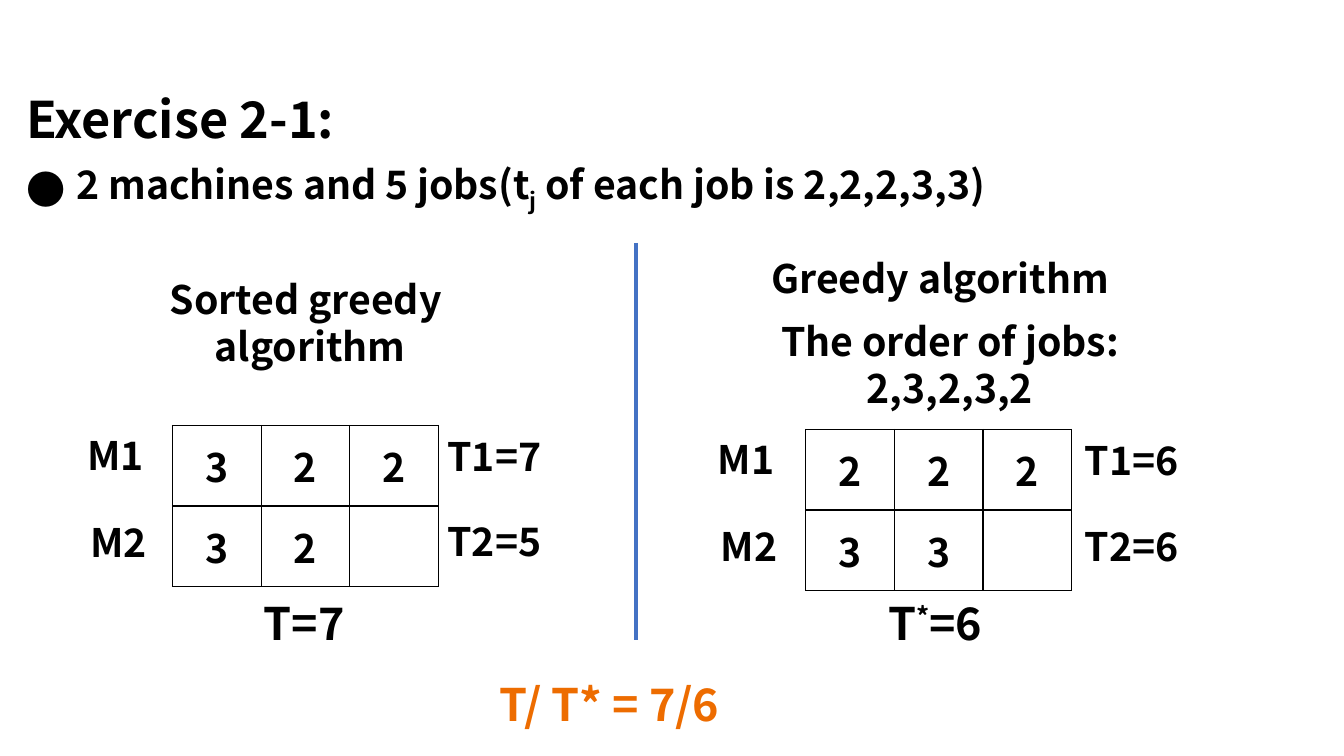
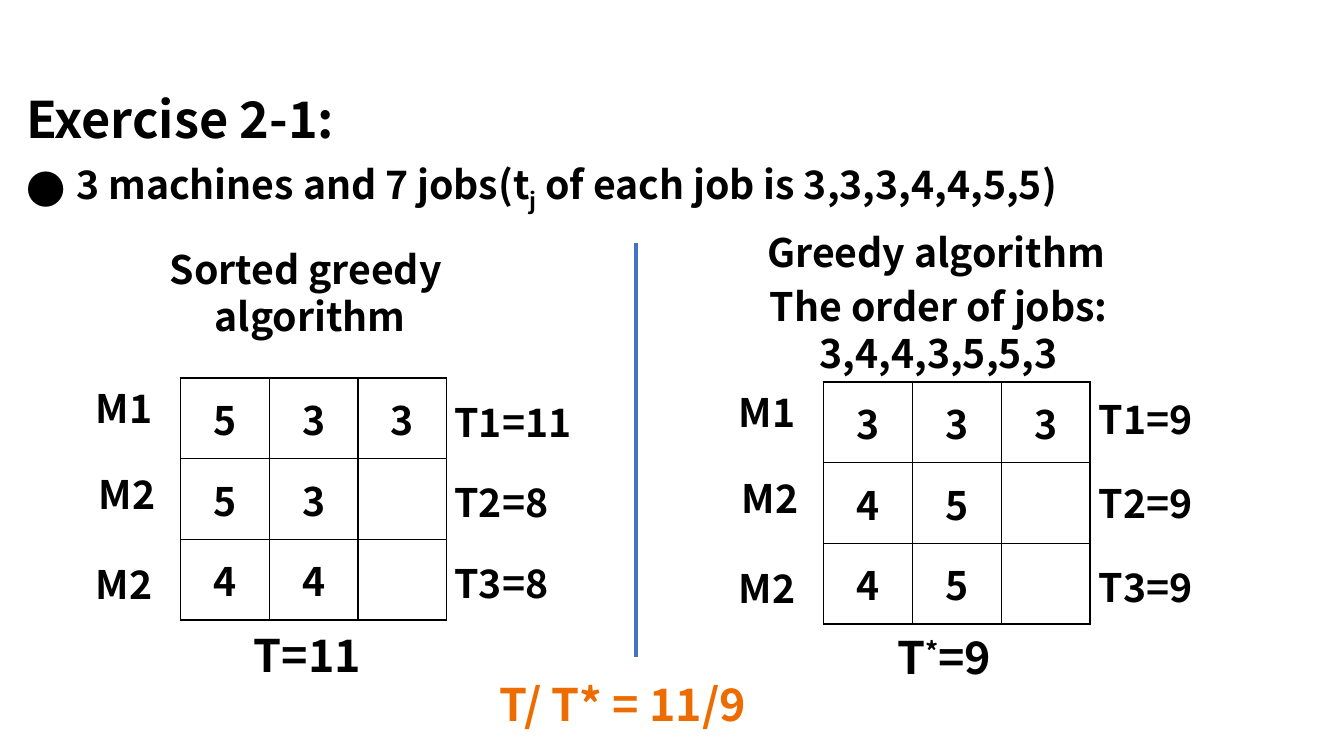
from dataclasses import dataclass

from lxml import etree
from pptx import Presentation
from pptx.dml.color import RGBColor
from pptx.enum.shapes import MSO_CONNECTOR
from pptx.enum.text import MSO_ANCHOR, PP_ALIGN
from pptx.oxml.ns import qn
from pptx.util import Inches, Pt

LEFT, CENTER = PP_ALIGN.LEFT, PP_ALIGN.CENTER
MIDDLE = MSO_ANCHOR.MIDDLE
STRAIGHT = MSO_CONNECTOR.STRAIGHT


@dataclass(frozen=True)
class Theme:
    font: str = "Noto Sans CJK SC"
    ink: RGBColor = RGBColor(0x00, 0x00, 0x00)
    paper: RGBColor = RGBColor(0xFF, 0xFF, 0xFF)
    accent: RGBColor = RGBColor(0xED, 0x6C, 0x00)
    rule: RGBColor = RGBColor(0x44, 0x72, 0xC4)
    title: int = 36
    result: int = 32
    body: int = 28
    line_height: float = 1.2
    rule_width: int = 3
    border_width: int = 1


@dataclass(frozen=True)
class Panel:
    x: float
    y: float
    headings: list
    jobs: list
    times: list
    total: list
    total_at: tuple
    label_dx: float = -0.94
    time_dx: float = 2.63


T = Theme()
COL, ROW = 0.88, 0.8
MACHINES = [("M1", 0, 0.01), ("M2", 0.03, 0.87), ("M2", 0, 1.76)]
SORTED = [["Sorted greedy "], ["algorithm"]]
GREEDY = [["Greedy algorithm"]]


def add_run(p, text, size, color, base=0):
    r = p.add_run()
    r.text = text
    r.font.name = T.font
    r.font.size = Pt(size)
    r.font.bold = True
    r.font.color.rgb = color
    if base:
        r._r.get_or_add_rPr().set("baseline", str(base * 1000))


def add_text(s, x, y, w, paragraphs, size=T.body, color=T.ink, align=LEFT):
    height = len(paragraphs) * size * T.line_height / 72 + 0.1
    tf = s.shapes.add_textbox(Inches(x), Inches(y), Inches(w), Inches(height)).text_frame
    tf.word_wrap = True
    for i, runs in enumerate(paragraphs):
        p = tf.add_paragraph() if i else tf.paragraphs[0]
        p.alignment = align
        p.line_spacing = Pt(size * T.line_height)
        for run in runs:
            text, base = run if isinstance(run, tuple) else (run, 0)
            add_run(p, text, size, color, base)
    return tf


def add_bullet(p):
    pPr = p._p.get_or_add_pPr()
    pPr.set("marL", str(Inches(0.5)))
    pPr.set("indent", str(-Inches(0.5)))
    etree.SubElement(pPr, qn("a:buFont")).set("typeface", T.font)
    etree.SubElement(pPr, qn("a:buChar")).set("char", "●")


def add_borders(cell):
    tcPr = cell._tc.get_or_add_tcPr()
    for i, side in enumerate(("lnL", "lnR", "lnT", "lnB")):
        ln = etree.Element(qn("a:" + side), w=str(Pt(T.border_width)))
        fill = etree.SubElement(ln, qn("a:solidFill"))
        etree.SubElement(fill, qn("a:srgbClr")).set("val", str(T.ink))
        tcPr.insert(i, ln)


def add_schedule(s, x, y, jobs):
    rows, cols = len(jobs), max(map(len, jobs))
    table = s.shapes.add_table(rows, cols, Inches(x), Inches(y),
                               Inches(cols * COL), Inches(rows * ROW)).table
    table.first_row = table.horz_banding = False
    for col in table.columns:
        col.width = Inches(COL)
    for i, row in enumerate(jobs):
        table.rows[i].height = Inches(ROW)
        for j in range(cols):
            cell = table.cell(i, j)
            cell.fill.solid()
            cell.fill.fore_color.rgb = T.paper
            cell.vertical_anchor = MIDDLE
            add_borders(cell)
            if j < len(row):
                p = cell.text_frame.paragraphs[0]
                p.alignment = CENTER
                add_run(p, row[j], T.body, T.ink)


def add_panel(s, panel):
    x, y = panel.x, panel.y
    for dx, dy, w, lines in panel.headings:
        add_text(s, x + dx, y + dy, w, lines, align=CENTER)
    add_schedule(s, x, y, panel.jobs)
    for (name, dx, dy), (time, time_dy) in zip(MACHINES, panel.times):
        add_text(s, x + panel.label_dx + dx, y + dy, 0.85, [[name]])
        add_text(s, x + panel.time_dx, y + time_dy, 1.47, [[time]])
    dx, dy = panel.total_at
    add_text(s, x + dx, y + dy, 1.5, [panel.total], T.result)


def add_divider(s, x, top, bottom):
    line = s.shapes.add_connector(STRAIGHT, Inches(x), Inches(top), Inches(x), Inches(bottom))
    line.line.color.rgb = T.rule
    line.line.width = Pt(T.rule_width)
    etree.SubElement(line._element.spPr, qn("a:effectLst"))


def add_exercise(prs, setup, times, ratio, divider_end, panels):
    s = prs.slides.add_slide(prs.slide_layouts[6])
    add_text(s, 0.16, 0.83, 10.86, [["Exercise 2-1:"]], T.title)
    tf = add_text(s, 0.16, 1.61, 11.27,
                  [[setup + "(t", ("j", -25), f" of each job is {times})"]])
    add_bullet(tf.paragraphs[0])
    add_divider(s, 6.31, 2.41, divider_end)
    for panel in panels:
        add_panel(s, panel)
    add_text(s, 4.86, 6.66, 3, [[f"T/ T* = {ratio}"]], T.result, T.accent)


def main():
    prs = Presentation()
    prs.slide_width, prs.slide_height = Inches(13.33), Inches(7.5)
    add_exercise(prs, "2 machines and 5 jobs", "2,2,2,3,3", "7/6", 6.35, [
        Panel(1.71, 4.22, [(-0.2, -1.54, 3.13, SORTED)], ["322", "32"],
              [("T1=7", 0.02), ("T2=5", 0.86)], ["T=7"], (0.81, 1.64)),
        Panel(7.99, 4.26,
              [(-0.5, -1.79, 3.67, GREEDY),
               (-0.43, -1.16, 3.72, [["The order of jobs:"], ["2,3,2,3,2"]])],
              ["222", "33"], [("T1=6", 0.02), ("T2=6", 0.87)],
              ["T", ("*", 30), "=6"], (0.72, 1.6), -0.97, 2.67),
    ])
    add_exercise(prs, "3 machines and 7 jobs", "3,3,3,4,4,5,5", "11/9", 6.52, [
        Panel(1.79, 3.75, [(-0.28, -1.37, 3.13, SORTED)], ["533", "53", "44"],
              [("T1=11", 0.15), ("T2=8", 0.95), ("T3=8", 1.75)],
              ["T=11"], (0.63, 2.43), time_dx=2.62),
        Panel(8.17, 3.79,
              [(-0.72, -1.57, 3.67, GREEDY),
               (-0.72, -1.04, 3.72, [["The order of jobs:"], ["3,4,4,3,5,5,3"]])],
              ["333", "45", "45"], [("T1=9", 0.08), ("T2=9", 0.92), ("T3=9", 1.75)],
              ["T", ("*", 30), "=9"], (0.63, 2.41)),
    ])
    prs.save("out.pptx")


if __name__ == "__main__":
    main()
